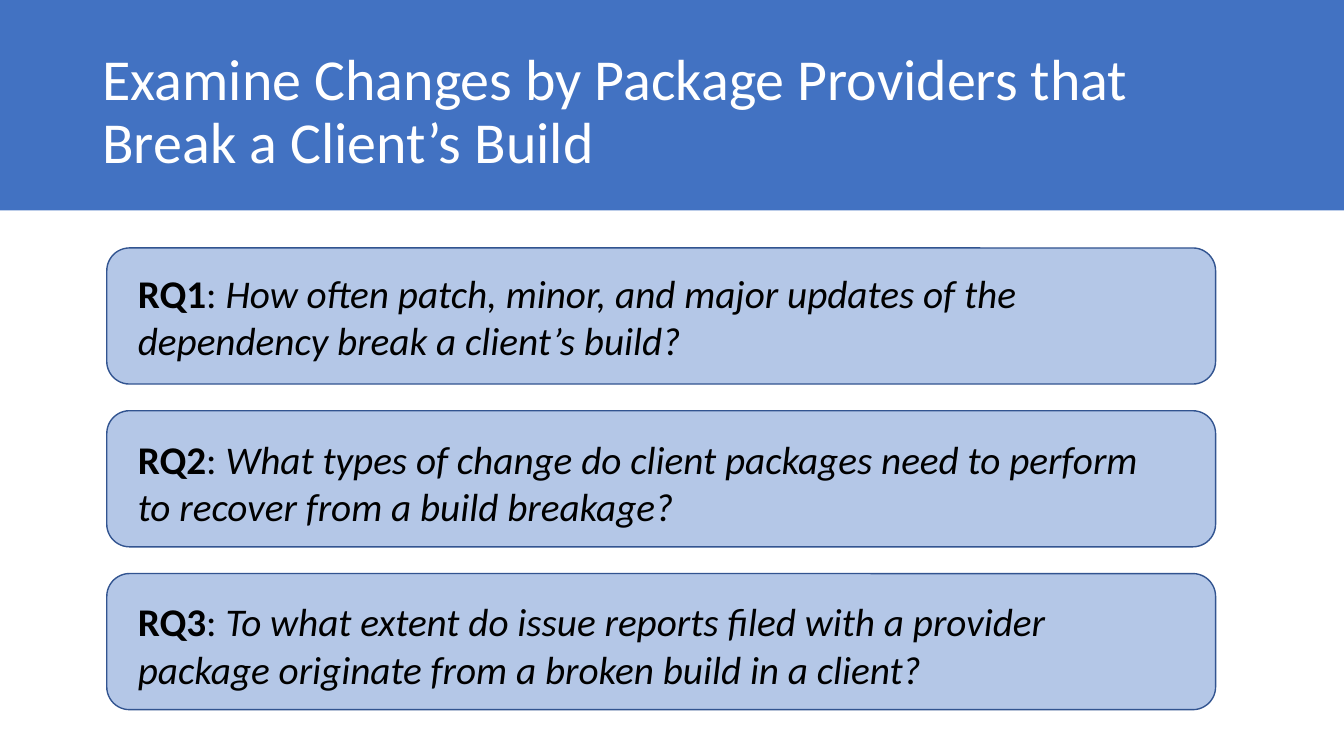
from pptx import Presentation
from pptx.dml.color import RGBColor
from pptx.enum.shapes import MSO_SHAPE
from pptx.enum.text import MSO_ANCHOR, MSO_AUTO_SIZE, PP_ALIGN
from pptx.util import Pt

RECTANGLE = MSO_SHAPE.RECTANGLE
ROUNDED = MSO_SHAPE.ROUNDED_RECTANGLE
MIDDLE = MSO_ANCHOR.MIDDLE
LEFT = PP_ALIGN.LEFT
NO_AUTOFIT = MSO_AUTO_SIZE.NONE
GROW = MSO_AUTO_SIZE.SHAPE_TO_FIT_TEXT

BLUE = RGBColor(0x42, 0x72, 0xC2)
PALE_BLUE = RGBColor(0xB4, 0xC7, 0xE7)
DARK_BLUE = RGBColor(0x32, 0x54, 0x90)
WHITE = RGBColor(0xFF, 0xFF, 0xFF)
BLACK = RGBColor(0x00, 0x00, 0x00)

FONT = "Calibri"
TITLE_ONLY = 5
SLIDE_WIDTH, SLIDE_HEIGHT = 960, 540
CARD_TOP, CARD_PITCH, CARD_HEIGHT = 177.1, 116.3, 97.2

TITLE = "Examine Changes by Package Providers that Break a Client’s Build"
QUESTIONS = [
    ("RQ1", "How often patch, minor, and major updates of the dependency "
            "break a client’s build?", 188.6),
    ("RQ2", "What types of change do client packages need to perform "
            "to recover from a build breakage?", 307.4),
    ("RQ3", "To what extent do issue reports filed with a provider package "
            "originate from a broken build in a client?", 423.4),
]


def add_run(paragraph, text, size, color, bold=False, italic=False):
    run = paragraph.add_run()
    run.text = text
    run.font.name = FONT
    run.font.size = Pt(size)
    run.font.color.rgb = color
    run.font.bold = bold
    run.font.italic = italic


def add_header_band(slide):
    band = slide.shapes.add_shape(RECTANGLE, 0, 0, Pt(SLIDE_WIDTH), Pt(150.3))
    band.shadow.inherit = False
    band.fill.solid()
    band.fill.fore_color.rgb = BLUE
    band.line.fill.background()
    slide.shapes.title.element.addprevious(band.element)


def fill_title(slide):
    title = slide.shapes.title
    title.left, title.top = Pt(66), Pt(28.8)
    title.width, title.height = Pt(828), Pt(104.4)
    frame = title.text_frame
    frame.word_wrap = True
    frame.auto_size = NO_AUTOFIT
    frame.vertical_anchor = MIDDLE
    heading = frame.paragraphs[0]
    heading.alignment = LEFT
    heading.line_spacing = 0.9
    add_run(heading, TITLE, 41.4, WHITE)


def add_question(slide, card_top, label, question, text_top):
    group = slide.shapes.add_group_shape()
    card = group.shapes.add_shape(
        ROUNDED, Pt(76.3), Pt(card_top), Pt(792), Pt(CARD_HEIGHT))
    card.shadow.inherit = False
    card.fill.solid()
    card.fill.fore_color.rgb = PALE_BLUE
    card.line.color.rgb = DARK_BLUE
    card.line.width = Pt(1)

    wording = group.shapes.add_textbox(
        Pt(91.4), Pt(text_top), Pt(757.4), Pt(CARD_HEIGHT))
    frame = wording.text_frame
    frame.word_wrap = True
    frame.auto_size = GROW
    paragraph = frame.paragraphs[0]
    add_run(paragraph, label, 28, BLACK, bold=True)
    add_run(paragraph, ": ", 28, BLACK)
    add_run(paragraph, question, 28, BLACK, italic=True)


def main():
    deck = Presentation()
    deck.slide_width, deck.slide_height = Pt(SLIDE_WIDTH), Pt(SLIDE_HEIGHT)
    slide = deck.slides.add_slide(deck.slide_layouts[TITLE_ONLY])
    add_header_band(slide)
    fill_title(slide)
    for index, (label, question, text_top) in enumerate(QUESTIONS):
        card_top = CARD_TOP + index * CARD_PITCH
        add_question(slide, card_top, label, question, text_top)
    deck.save("out.pptx")


if __name__ == "__main__":
    main()
